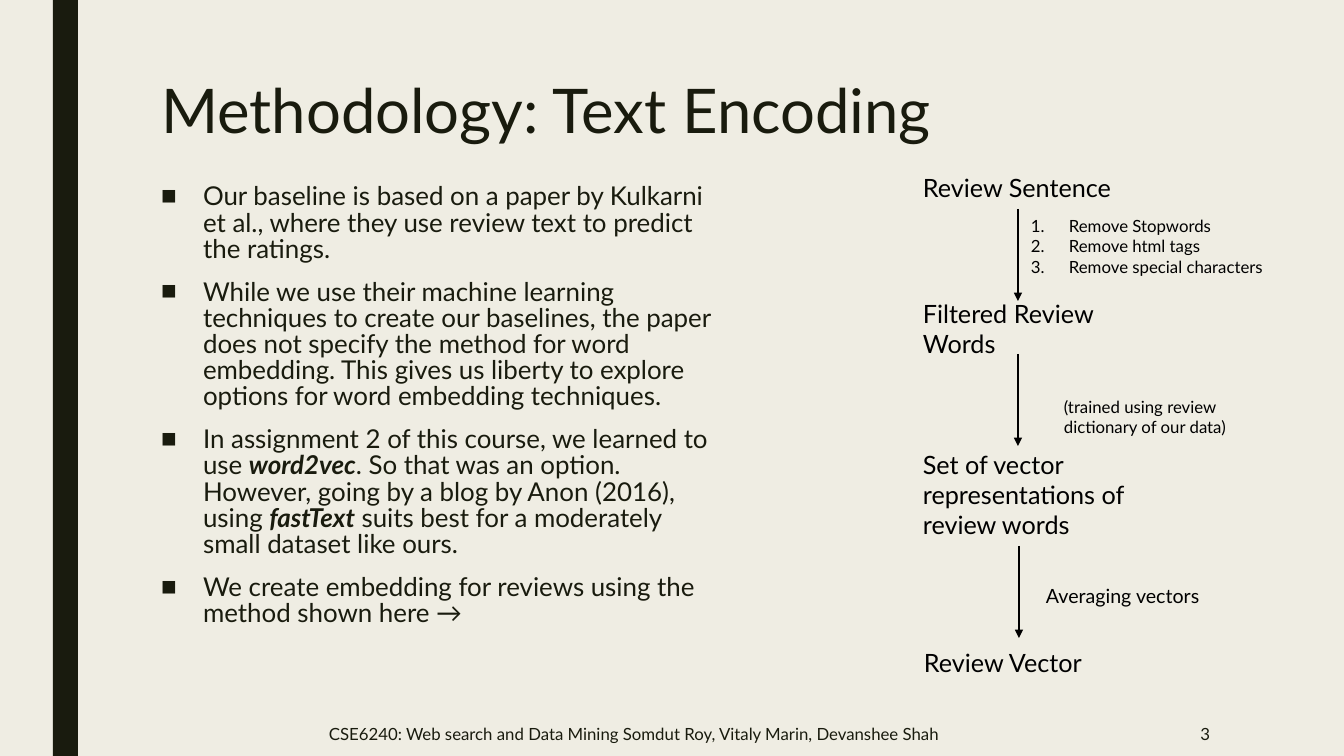
from lxml import etree
from pptx import Presentation
from pptx.dml.color import RGBColor
from pptx.enum.shapes import MSO_CONNECTOR, MSO_SHAPE
from pptx.enum.text import MSO_ANCHOR, MSO_AUTO_SIZE, PP_ALIGN
from pptx.oxml.ns import qn
from pptx.util import Emu, Pt

EMU_PER_PX = 12192000 / 1344
FONT = "Lato"
CREAM = RGBColor(0xEF, 0xED, 0xE3)
INK = RGBColor(0x19, 0x1B, 0x0E)
BLACK = RGBColor(0, 0, 0)
RECTANGLE = MSO_SHAPE.RECTANGLE
STRAIGHT = MSO_CONNECTOR.STRAIGHT
TOP, MIDDLE = MSO_ANCHOR.TOP, MSO_ANCHOR.MIDDLE
LEFT, RIGHT = PP_ALIGN.LEFT, PP_ALIGN.RIGHT
NO_FIT = MSO_AUTO_SIZE.NONE

TITLE = "Methodology: Text Encoding"
POINTS = [
    [("Our baseline is based on a paper by Kulkarni et al., where they use "
      "review text to predict the ratings.", False)],
    [("While we use their machine learning techniques to create our baselines, "
      "the paper does not specify the method for word embedding. This gives us "
      "liberty to explore options for word embedding techniques.", False)],
    [("In assignment 2 of this course, we learned to use ", False),
     ("word2vec", True),
     (". So that was an option. However, going by a blog by Anon (2016), using ", False),
     ("fastText", True),
     (" suits best for a moderately small dataset like ours.", False)],
    [("We create embedding for reviews using the method shown here →", False)],
]
STAGES = [
    ("Review Sentence", 0, 0, 210),
    ("Filtered Review Words", 0, 126, 247),
    ("Set of vector representations of review words", 0, 277, 280),
    ("Review Vector", 1, 475, 210),
]
ARROWS = [(105, 42), (105, 187), (106, 379)]
ARROW_LENGTH = 92
CLEANING_STEPS = ["Remove Stopwords", "Remove html tags", "Remove special characters"]
NOTES = [
    (CLEANING_STEPS, 12, (108, 44, 258, 72), True),
    (["(trained using review dictionary of our data)"], 12, (141, 225, 192, 50), False),
    (["Averaging vectors"], 14, (123, 412, 247, 34), False),
]
FOOTER = "CSE6240: Web search and Data Mining Somdut Roy, Vitaly Marin, Devanshee Shah"


def px(length):
    return Emu(round(length * EMU_PER_PX))


def move(shape, box):
    shape.left, shape.top, shape.width, shape.height = map(px, box)


def add_span(para, text, size, color, strong=False):
    span = para.add_run()
    span.text = text
    span.font.name = FONT
    span.font.size = Pt(size)
    span.font.color.rgb = color
    span.font.bold = span.font.italic = strong


def add_marker(para, indent, tag, **settings):
    properties = para._p.get_or_add_pPr()
    properties.set("marL", str(px(indent)))
    properties.set("indent", str(-px(indent)))
    marker = etree.SubElement(properties, qn(tag))
    for name, value in settings.items():
        marker.set(name, value)


def set_frame(frame, anchor=TOP):
    frame.word_wrap = True
    frame.auto_size = NO_FIT
    frame.vertical_anchor = anchor


def paragraphs(frame, count):
    return [frame.paragraphs[0]] + [frame.add_paragraph() for _ in range(count - 1)]


def add_label(page, box, lines, size, color, anchor=TOP, align=LEFT, numbered=False):
    frame = page.shapes.add_textbox(*map(px, box)).text_frame
    set_frame(frame, anchor)
    for para, line in zip(paragraphs(frame, len(lines)), lines):
        if numbered:
            add_marker(para, 38, "a:buAutoNum", type="arabicPeriod")
        para.alignment = align
        add_span(para, line, size, color)


def add_side_bar(page, box):
    bar = page.shapes.add_shape(RECTANGLE, *map(px, box))
    bar.shadow.inherit = False
    bar.fill.solid()
    bar.fill.fore_color.rgb = INK
    bar.line.fill.background()


def fill_title(page, box):
    title = page.shapes.title
    move(title, box)
    set_frame(title.text_frame)
    para = title.text_frame.paragraphs[0]
    para.alignment = LEFT
    para.line_spacing = 0.89
    add_span(para, TITLE, 44, INK)


def fill_points(page, box):
    body = page.placeholders[1]
    move(body, box)
    set_frame(body.text_frame)
    for index, para in enumerate(paragraphs(body.text_frame, len(POINTS))):
        add_marker(para, 42, "a:buChar", char="■")
        para.line_spacing = 0.84
        para.space_before = Pt(10 if index else 0)
        para.space_after = Pt(2)
        for text, strong in POINTS[index]:
            add_span(para, text, 18.5, INK, strong)


def add_arrow(page, x, y, length):
    arrow = page.shapes.add_connector(STRAIGHT, px(x), px(y), px(x), px(y + length))
    arrow.line.color.rgb = BLACK
    arrow.line.width = Pt(1.5)
    etree.SubElement(arrow.line._get_or_add_ln(), qn("a:tailEnd")).set("type", "triangle")
    etree.SubElement(arrow._element.spPr, qn("a:effectLst"))


def add_flow(page, left, top):
    for text, x, y, width in STAGES:
        add_label(page, (left + x, top + y, width, 40), [text], 18, BLACK)
    for x, y in ARROWS:
        add_arrow(page, left + x, top + y, ARROW_LENGTH)
    for lines, size, (x, y, width, height), numbered in NOTES:
        add_label(page, (left + x, top + y, width, height), lines, size, BLACK,
                  numbered=numbered)


def add_footer(page, top, height):
    add_label(page, (319, top, 692, height), [FOOTER], 12, INK, MIDDLE)
    add_label(page, (1044, top, 176, height), ["3"], 12, INK, MIDDLE, RIGHT)


def main():
    deck = Presentation()
    deck.slide_width, deck.slide_height = px(1344), px(756)
    page = deck.slides.add_slide(deck.slide_layouts[1])
    page.background.fill.solid()
    page.background.fill.fore_color.rgb = CREAM
    add_side_bar(page, (53, 0, 25, 756))
    fill_title(page, (151, 76, 1058, 163))
    fill_points(page, (151, 180, 576, 467))
    add_flow(page, 913, 167)
    add_footer(page, 712, 44)
    deck.save("out.pptx")


if __name__ == "__main__":
    main()
